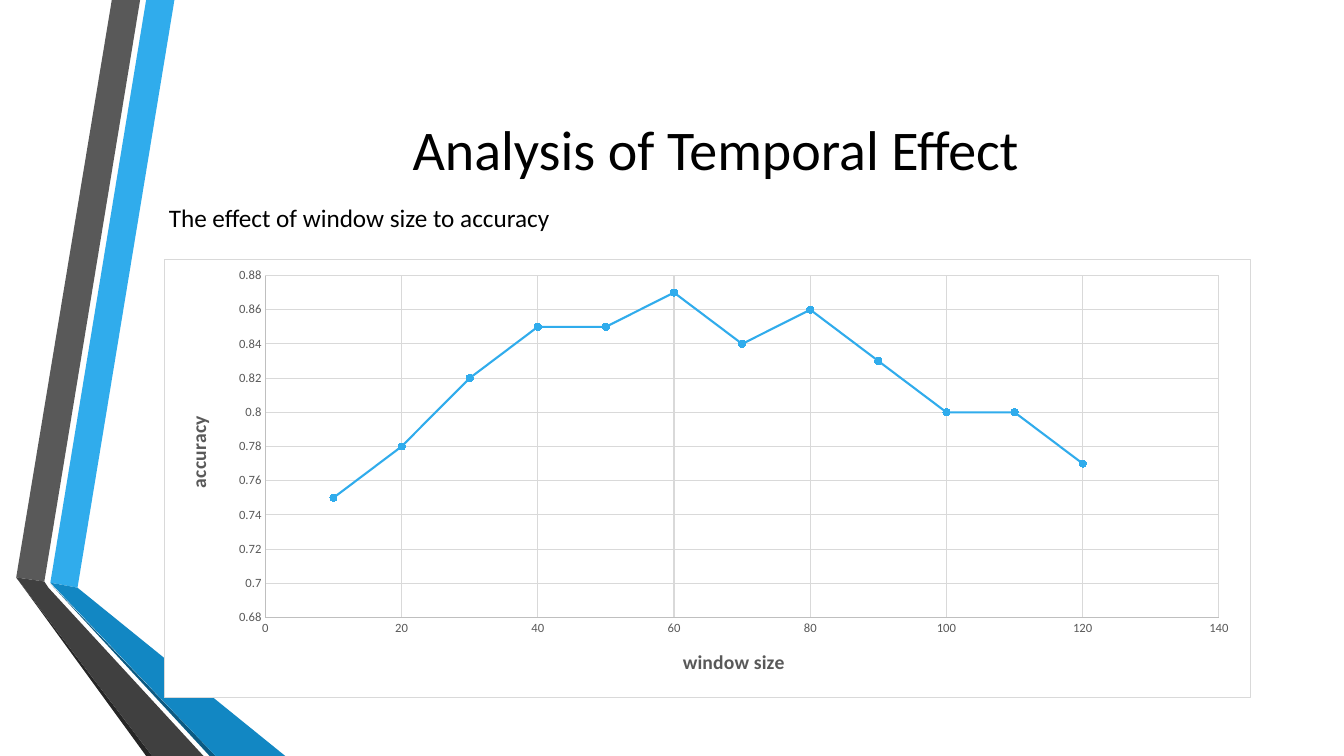
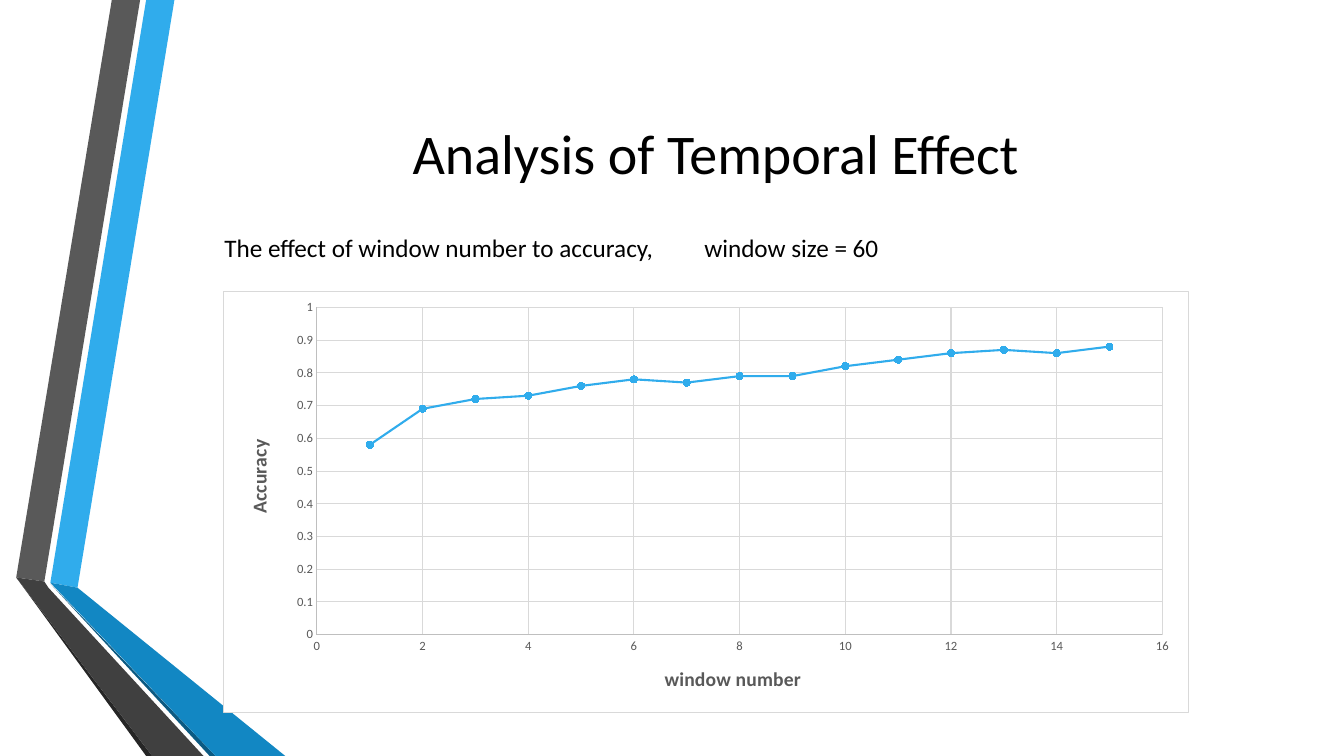
from lxml import etree
from pptx import Presentation
from pptx import util as u
from pptx.chart.data import XyChartData
from pptx.dml.color import RGBColor
from pptx.enum import chart as charts
from pptx.enum import text
from pptx.oxml import ns, parse_xml

FONT = "Calibri"
BLACK, GREY, AXIS, GRID, BLUE = "000000", "595959", "BFBFBF", "D9D9D9", "30ACEC"
TITLE = "Analysis of Temporal Effect"
TITLE_LEFT, TITLE_TOP, TITLE_WIDTH = 116.6, 54, 789.1

RIBBONS = [
    (BLUE, [(36, 416.2), (55.4, 419.8), (124.6, 0), (104.4, 0)]),
    (GREY, [(100.1, 0), (79.9, 0), (11.6, 412.5), (31.7, 415.4)]),
    ("262626", [(11.6, 412.5), (104.4, 540), (108.7, 540)]),
    ("0C5A82", [(36, 416.9), (149.8, 540), (154.1, 540)]),
    ("1287C3", [(36, 416.2), (154.1, 540), (203.8, 540), (55.4, 419.8)]),
    ("404040", [(145.4, 540), (34.6, 419.8), (31.7, 415.4), (11.6, 412.5), (108.7, 540)]),
]

SLIDES = [
    {
        "title_height": 103.7,
        "caption": "The effect of window size to accuracy",
        "caption_at": (113.5, 141.1, 330, 29),
        "chart_at": (116.9, 185, 776.6, 313.6),
        "margins": (72.4, 11.5, 22.4, 57.2),
        "kind": charts.XL_CHART_TYPE.XY_SCATTER_LINES,
        "x_axis": ("window size", 0, 140, 20),
        "y_axis": ("accuracy", 0.68, 0.88, 0.02),
        "x_step": 10,
        "values": [0.75, 0.78, 0.82, 0.85, 0.85, 0.87, 0.84, 0.86, 0.83, 0.8, 0.8, 0.77],
    },
    {
        "title_height": 108.7,
        "caption": "The effect of window number to accuracy,\twindow size = 60",
        "caption_at": (153.2, 162.7, 520, 29),
        "tab_stop": 342.8,
        "chart_at": (159.5, 207.7, 689.8, 301.3),
        "margins": (66.6, 11.5, 18.6, 55.3),
        "kind": charts.XL_CHART_TYPE.XY_SCATTER_SMOOTH,
        "x_axis": ("window number", 0, 16, 2),
        "y_axis": ("Accuracy", 0, 1, 0.1),
        "x_step": 1,
        "values": [0.58, 0.69, 0.72, 0.73, 0.76, 0.78, 0.77, 0.79, 0.79,
                   0.82, 0.84, 0.86, 0.87, 0.86, 0.88],
    },
]


def color(value):
    return RGBColor.from_string(value)


def points(values):
    return [u.Pt(value) for value in values]


def style_font(font, size, shade, bold=False):
    font.name, font.size, font.bold = FONT, u.Pt(size), bold
    font.color.rgb = color(shade)


def style_line(line, shade, width=0.75):
    line.color.rgb = color(shade)
    line.width = u.Pt(width)


def add_ribbons(slide, layout):
    group = slide.shapes.add_group_shape()
    for shade, corners in RIBBONS:
        start, *rest = [points(corner) for corner in corners]
        outline = group.shapes.build_freeform(*start)
        outline.add_line_segments(rest, close=True)
        ribbon = outline.convert_to_shape()
        ribbon.shadow.inherit = False
        ribbon.fill.solid()
        ribbon.fill.fore_color.rgb = color(shade)
        ribbon.line.fill.background()
    layout.shapes.element.insert(2, group.element)


def add_title(slide, height):
    title = slide.shapes.title
    title.left, title.top, title.width, title.height = points(
        (TITLE_LEFT, TITLE_TOP, TITLE_WIDTH, height))
    title.text_frame.text = TITLE
    title.text_frame.vertical_anchor = text.MSO_ANCHOR.MIDDLE
    para = title.text_frame.paragraphs[0]
    para.alignment = text.PP_ALIGN.CENTER
    style_font(para.runs[0].font, 40, BLACK)


def add_caption(slide, item):
    frame = slide.shapes.add_textbox(*points(item["caption_at"])).text_frame
    frame.word_wrap = True
    frame.text = item["caption"]
    para = frame.paragraphs[0]
    for span in para.runs:
        style_font(span.font, 18, BLACK)
    if "tab_stop" in item:
        properties = para.runs[0].font and para.line_spacing
        para.line_spacing = properties or 1.0
        holder = frame.paragraphs[0].runs[0].font and slide.shapes[-1].element.find(
            ".//" + ns.qn("a:pPr"))
        stops = etree.SubElement(holder, ns.qn("a:tabLst"))
        etree.SubElement(stops, ns.qn("a:tab"), pos=str(u.Pt(item["tab_stop"])), algn="l")


def style_axis(axis, label, low, high, step):
    axis.minimum_scale, axis.maximum_scale, axis.major_unit = low, high, step
    axis.major_tick_mark = axis.minor_tick_mark = charts.XL_TICK_MARK.NONE
    axis.has_major_gridlines = True
    style_line(axis.major_gridlines.format.line, GRID)
    style_line(axis.format.line, AXIS)
    style_font(axis.tick_labels.font, 9, GREY)
    axis.tick_labels.number_format = "General"
    axis.tick_labels.number_format_is_linked = False
    axis.axis_title.text_frame.text = label
    style_font(axis.axis_title.text_frame.paragraphs[0].runs[0].font, 14, GREY, True)


def frame_chart(chart, size, margins):
    space = chart.element
    space.find(ns.qn("c:chart")).addnext(parse_xml(
        f'<c:spPr {ns.nsdecls("c", "a")}><a:solidFill><a:srgbClr val="FFFFFF"/></a:solidFill>'
        f'<a:ln w="{u.Pt(0.75)}"><a:solidFill><a:srgbClr val="{GRID}"/></a:solidFill></a:ln>'
        '</c:spPr>'))
    width, height = size
    left, top, right, bottom = margins
    places = {"x": left / width, "y": top / height,
              "w": (width - left - right) / width, "h": (height - top - bottom) / height}
    modes = '<c:layoutTarget val="inner"/><c:xMode val="edge"/><c:yMode val="edge"/>'
    numbers = "".join(f'<c:{key} val="{value:.4f}"/>' for key, value in places.items())
    plot_area = space.find(".//" + ns.qn("c:plotArea"))
    for old in plot_area.findall(ns.qn("c:layout")):
        plot_area.remove(old)
    plot_area.insert(0, parse_xml(
        f'<c:layout {ns.nsdecls("c")}><c:manualLayout>{modes}{numbers}'
        '</c:manualLayout></c:layout>'))


def add_accuracy_chart(slide, item):
    data = XyChartData()
    points_list = data.add_series("Series 1")
    for index, value in enumerate(item["values"], 1):
        points_list.add_data_point(index * item["x_step"], value)
    chart = slide.shapes.add_chart(item["kind"], *points(item["chart_at"]), data).chart
    chart.has_title = chart.has_legend = False
    style_font(chart.font, 10, BLACK)
    style_axis(chart.category_axis, *item["x_axis"])
    style_axis(chart.value_axis, *item["y_axis"])
    body = chart.value_axis.axis_title.element.find(".//" + ns.qn("a:bodyPr"))
    body.set("rot", "-5400000")
    body.set("vert", "horz")
    chart.plots[0].vary_by_categories = False
    series = chart.plots[0].series[0]
    style_line(series.format.line, BLUE, 1.5)
    series.marker.style = charts.XL_MARKER_STYLE.CIRCLE
    series.marker.size = 5
    series.marker.format.fill.solid()
    series.marker.format.fill.fore_color.rgb = color(BLUE)
    style_line(series.marker.format.line, BLUE)
    frame_chart(chart, item["chart_at"][2:], item["margins"])


def main():
    deck = Presentation()
    deck.slide_width, deck.slide_height = points((960, 540))
    layout = deck.slide_layouts[5]
    for number, item in enumerate(SLIDES):
        page = deck.slides.add_slide(layout)
        if number == 0:
            add_ribbons(page, layout)
        add_title(page, item["title_height"])
        add_caption(page, item)
        add_accuracy_chart(page, item)
    deck.save("out.pptx")


if __name__ == "__main__":
    main()
